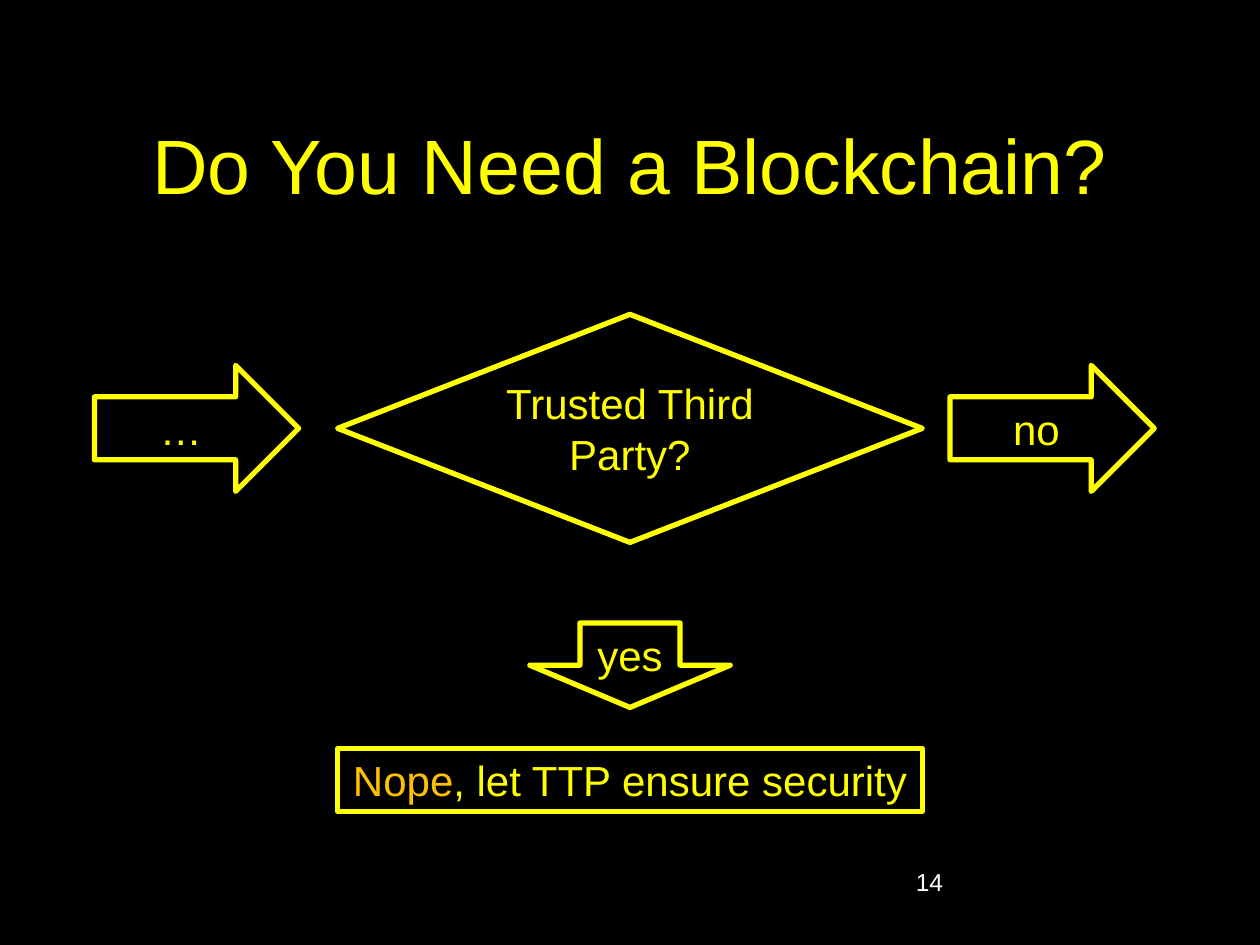
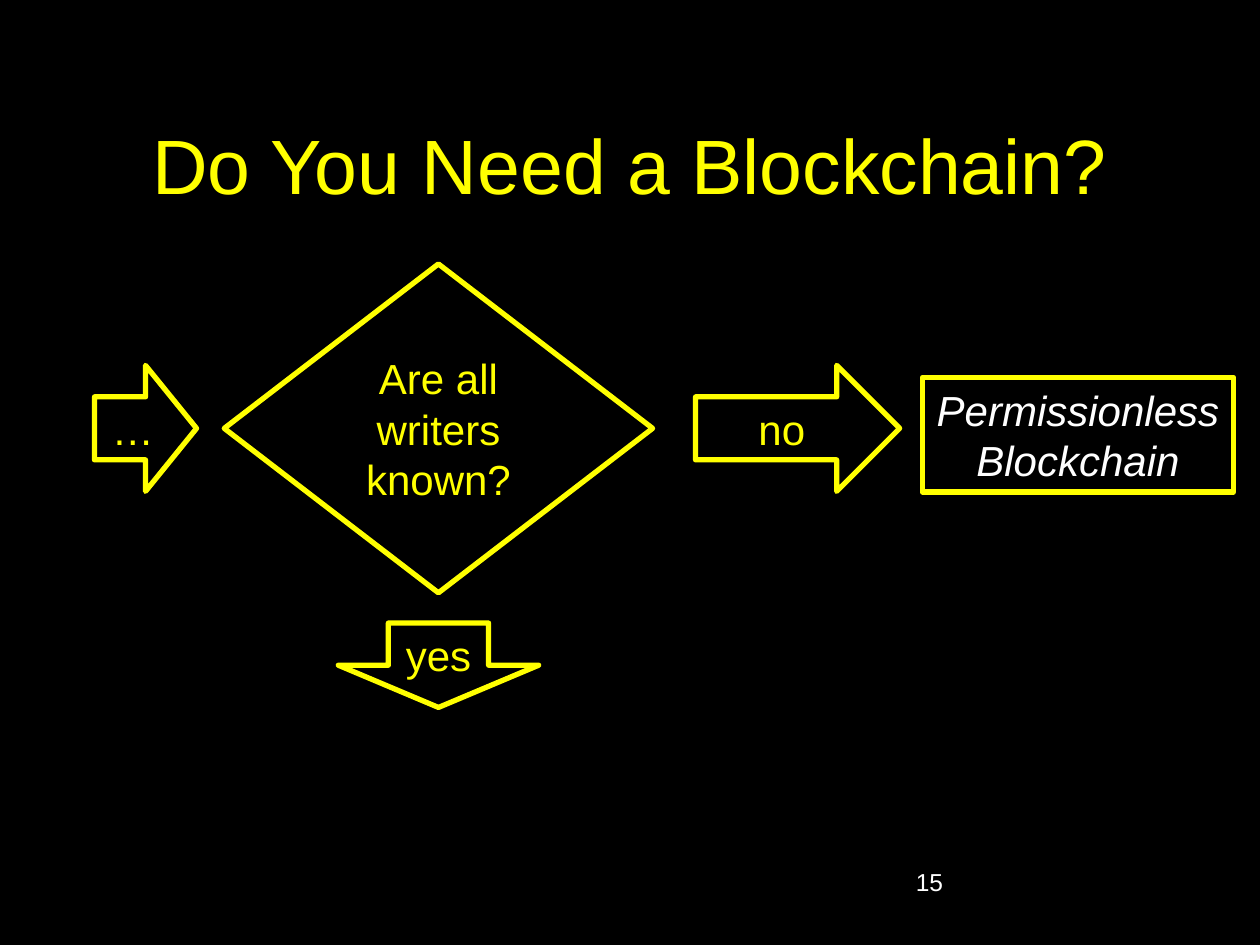
from dataclasses import dataclass

from pptx import Presentation
from pptx.dml.color import RGBColor
from pptx.enum.shapes import MSO_SHAPE
from pptx.enum.text import MSO_ANCHOR, MSO_AUTO_SIZE, PP_ALIGN
from pptx.util import Inches, Pt

DIAMOND = MSO_SHAPE.FLOWCHART_DECISION
BOX = MSO_SHAPE.FLOWCHART_PROCESS
DOWN = MSO_SHAPE.DOWN_ARROW
RIGHT = MSO_SHAPE.RIGHT_ARROW
MIDDLE = MSO_ANCHOR.MIDDLE
TOP = MSO_ANCHOR.TOP
GROW = MSO_AUTO_SIZE.SHAPE_TO_FIT_TEXT
FIXED = MSO_AUTO_SIZE.NONE
CENTER = PP_ALIGN.CENTER
LEFT = PP_ALIGN.LEFT


@dataclass(frozen=True)
class Theme:
    back: RGBColor = RGBColor(0, 0, 0)
    main: RGBColor = RGBColor(255, 255, 0)
    alert: RGBColor = RGBColor(255, 192, 0)
    plain: RGBColor = RGBColor(255, 255, 255)
    face: str = "Arial"
    title: int = 44
    body: int = 24
    page: int = 14
    line: int = 3


THEME = Theme()
TITLE = "Do You Need a Blockchain?"
EDGE = 0.75
ROW = 3.4
ARROW = 1.62
YES_WIDE = 1.59


def apply(item, values):
    for name, value in values.items():
        setattr(item, name, value)


def write(shape, lines, size, align=CENTER, **frame):
    text = shape.text_frame
    apply(text, {"word_wrap": True, "vertical_anchor": MIDDLE,
                 "auto_size": FIXED, **frame})
    for count, line in enumerate(lines):
        para = text.add_paragraph() if count else text.paragraphs[0]
        para.alignment = align
        for words, color, slant in line:
            run = para.add_run()
            run.text = words
            apply(run.font, {"name": THEME.face, "size": Pt(size), "italic": slant})
            run.font.color.rgb = color


def say(words, color=THEME.main, slant=False):
    return [(words, color, slant)]


def label(slide, place, line, size, **style):
    box = slide.shapes.add_textbox(*map(Inches, place))
    write(box, [line], size, **style)


def node(slide, form, left, mid, wide, high, *lines, wrap=True):
    place = (left, mid - high / 2, wide, high)
    shape = slide.shapes.add_shape(form, *map(Inches, place))
    shape.shadow.inherit = False
    shape.fill.solid()
    shape.fill.fore_color.rgb = THEME.back
    shape.line.color.rgb = THEME.main
    shape.line.width = Pt(THEME.line)
    write(shape, lines, THEME.body, auto_size=GROW, word_wrap=wrap)


def choice(slide, left, wide, high, words):
    node(slide, DIAMOND, left, ROW, wide, high, say(words))
    center = left + wide / 2
    node(slide, DOWN, center - YES_WIDE / 2, 5.28, YES_WIDE, 0.67, say("yes"))


def arrow(slide, left, words, wide=ARROW):
    node(slide, RIGHT, left, ROW, wide, 1, say(words))


def start(deck, page):
    slide = deck.slides.add_slide(deck.slide_layouts[6])
    slide.background.fill.solid()
    slide.background.fill.fore_color.rgb = THEME.back
    label(slide, (EDGE, 0.67, 8.5, 1.25), say(TITLE), THEME.title)
    label(slide, (7.17, 6.83, 2.08, 0.5), say(str(page), THEME.plain),
          THEME.page, align=LEFT, vertical_anchor=TOP)
    return slide


def trust(deck):
    slide = start(deck, 14)
    left, wide = 2.68, 4.64
    choice(slide, left, wide, 1.81, "Trusted Third Party?")
    node(slide, BOX, left, 6.19, wide, 0.5,
         say("Nope", THEME.alert) + say(", let TTP ensure security"), wrap=False)
    arrow(slide, 7.54, "no")
    arrow(slide, EDGE, "…")


def known(deck):
    slide = start(deck, 15)
    choice(slide, 1.78, 3.4, 2.61, "Are all writers known?")
    arrow(slide, 5.52, "no")
    arrow(slide, EDGE, "…", ARROW / 2)
    lines = [say(word, THEME.plain, True) for word in ("Permissionless", "Blockchain")]
    node(slide, BOX, 7.32, 3.45, 2.47, 0.91, *lines, wrap=False)


def main():
    deck = Presentation()
    apply(deck, {"slide_width": Inches(10), "slide_height": Inches(7.5)})
    trust(deck)
    known(deck)
    deck.save("out.pptx")


if __name__ == "__main__":
    main()
